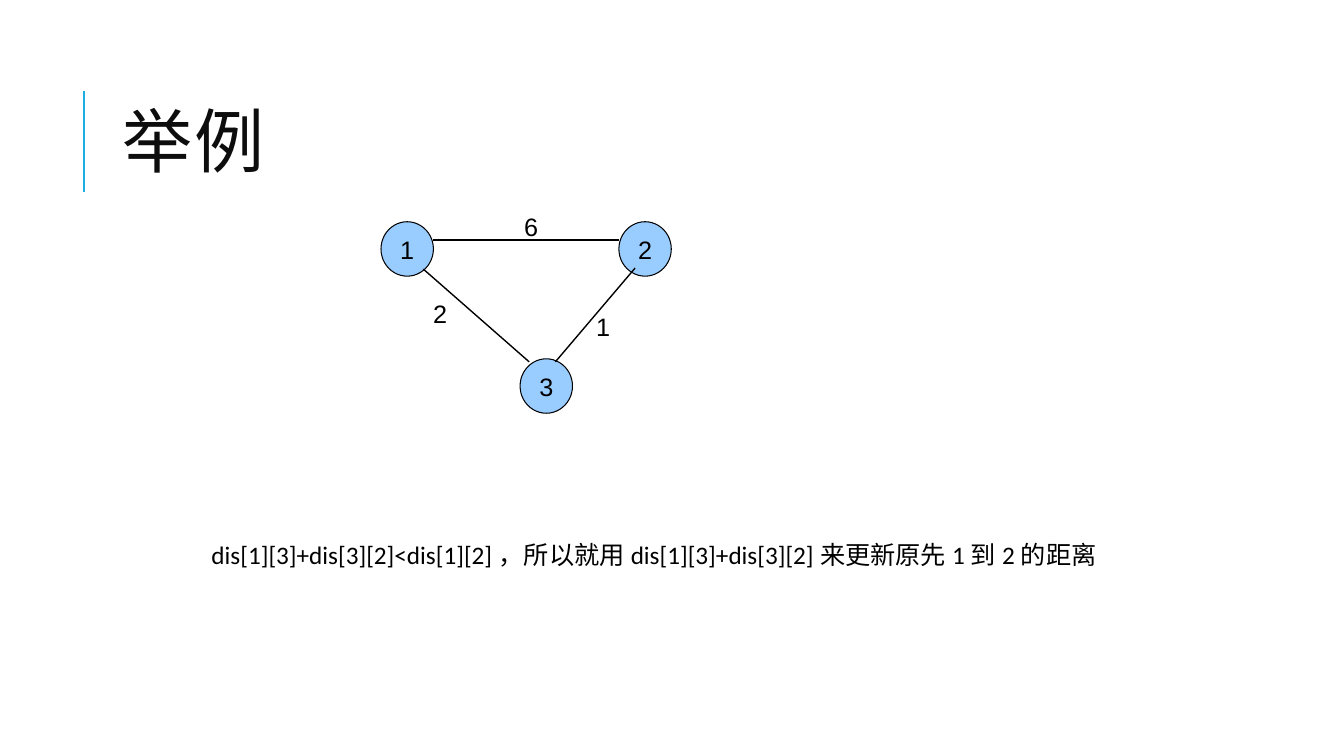
from dataclasses import dataclass

from lxml.etree import SubElement
from pptx import Presentation
from pptx.dml.color import RGBColor
from pptx.enum.shapes import MSO_CONNECTOR, MSO_SHAPE
from pptx.enum.text import MSO_ANCHOR, MSO_AUTO_SIZE, PP_ALIGN
from pptx.oxml.ns import qn
from pptx.util import Inches, Pt


@dataclass(frozen=True)
class Theme:
    accent: str = "1CADE4"
    node: str = "99CCFF"
    ink: str = "000000"
    heading: str = "0D0D0D"
    title_font: str = "Cabin"
    graph_font: str = "Arial"
    body_font: str = "Calibri"
    title_size: int = 50
    text_size: int = 18


COLUMNS, ROWS = 160, 90
NODE_SIZE = (6.24, 6.48)
LABEL_SIZE = (6, 4)
NODES = {"1": (48.48, 29.64), "2": (76.8, 29.64), "3": (65.04, 45.96)}
# weight, start, end, centre of the weight label
EDGES = [
    ("6", (51.6, 28.56), (73.68, 28.56), (63.24, 26.9)),
    ("2", (50.4, 32.04), (63, 43.08), (52.4, 37.3)),
    ("1", (66.12, 43.08), (75.6, 31.92), (71.8, 38.8)),
]


def write(frame, text, *, font, size, color, align=PP_ALIGN.LEFT,
          anchor=MSO_ANCHOR.TOP, inset=None, line_spacing=None, tracking=None):
    frame.word_wrap = True
    frame.auto_size = MSO_AUTO_SIZE.NONE
    frame.vertical_anchor = anchor
    if inset is not None:
        frame.margin_left = frame.margin_right = inset
        frame.margin_top = frame.margin_bottom = inset
    paragraph = frame.paragraphs[0]
    paragraph.alignment = align
    if line_spacing:
        paragraph.line_spacing = line_spacing
    run = paragraph.add_run()
    run.text = text
    run.font.name = font
    run.font.size = Pt(size)
    run.font.color.rgb = RGBColor.from_string(color)
    if tracking:
        run.font._element.set("spc", str(tracking))


class GraphSlide:
    """Draws on one slide, measured in grid columns and rows."""

    def __init__(self, presentation, theme):
        self.theme = theme
        self.slide = presentation.slides.add_slide(presentation.slide_layouts[5])
        self.column = presentation.slide_width / COLUMNS
        self.row = presentation.slide_height / ROWS

    def place(self, x, y):
        return round(x * self.column), round(y * self.row)

    def box_around(self, centre, size):
        corner = [middle - length / 2 for middle, length in zip(centre, size)]
        return *self.place(*corner), *self.place(*size)

    def title(self, text, corner, size):
        heading = self.slide.shapes.title
        heading.left, heading.top = self.place(*corner)
        heading.width, heading.height = self.place(*size)
        write(heading.text_frame, text, font=self.theme.title_font,
              size=self.theme.title_size, color=self.theme.heading,
              anchor=MSO_ANCHOR.MIDDLE, line_spacing=0.8, tracking=100)

    def line(self, start, end, color, width):
        connector = self.slide.shapes.add_connector(
            MSO_CONNECTOR.STRAIGHT, *self.place(*start), *self.place(*end))
        connector.line.color.rgb = RGBColor.from_string(color)
        connector.line.width = Pt(width)
        SubElement(connector._element.spPr, qn("a:effectLst"))

    def graph_text(self, frame, text):
        write(frame, text, font=self.theme.graph_font, size=self.theme.text_size,
              color=self.theme.ink, align=PP_ALIGN.CENTER,
              anchor=MSO_ANCHOR.MIDDLE, inset=0)

    def node(self, number, centre):
        circle = self.slide.shapes.add_shape(
            MSO_SHAPE.OVAL, *self.box_around(centre, NODE_SIZE))
        circle.shadow.inherit = False
        circle.fill.solid()
        circle.fill.fore_color.rgb = RGBColor.from_string(self.theme.node)
        circle.line.color.rgb = RGBColor.from_string(self.theme.ink)
        circle.line.width = Pt(0.75)
        self.graph_text(circle.text_frame, number)

    def weight(self, value, centre):
        label = self.slide.shapes.add_textbox(*self.box_around(centre, LABEL_SIZE))
        self.graph_text(label.text_frame, value)

    def statement(self, text, corner, size):
        sentence = self.slide.shapes.add_textbox(
            *self.place(*corner), *self.place(*size))
        write(sentence.text_frame, text, font=self.theme.body_font,
              size=self.theme.text_size, color=self.theme.ink)


def main():
    presentation = Presentation()
    presentation.slide_width = Inches(13.33)
    presentation.slide_height = Inches(7.5)
    theme = Theme()
    example = GraphSlide(presentation, theme)

    example.line((10, 22.8), (10, 10.8), theme.accent, 1.5)
    example.title("举例", (13.44, 7.68), (127.56, 19.68))
    for number, centre in NODES.items():
        example.node(number, centre)
    for value, start, end, label_centre in EDGES:
        example.line(start, end, theme.ink, 1)
        example.weight(value, label_centre)
    example.statement(
        "dis[1][3]+dis[3][2]<dis[1][2]，所以就用dis[1][3]+dis[3][2]来更新原先1到2的距离",
        (24, 63.6), (116.4, 4.8))

    presentation.save("out.pptx")


if __name__ == "__main__":
    main()
